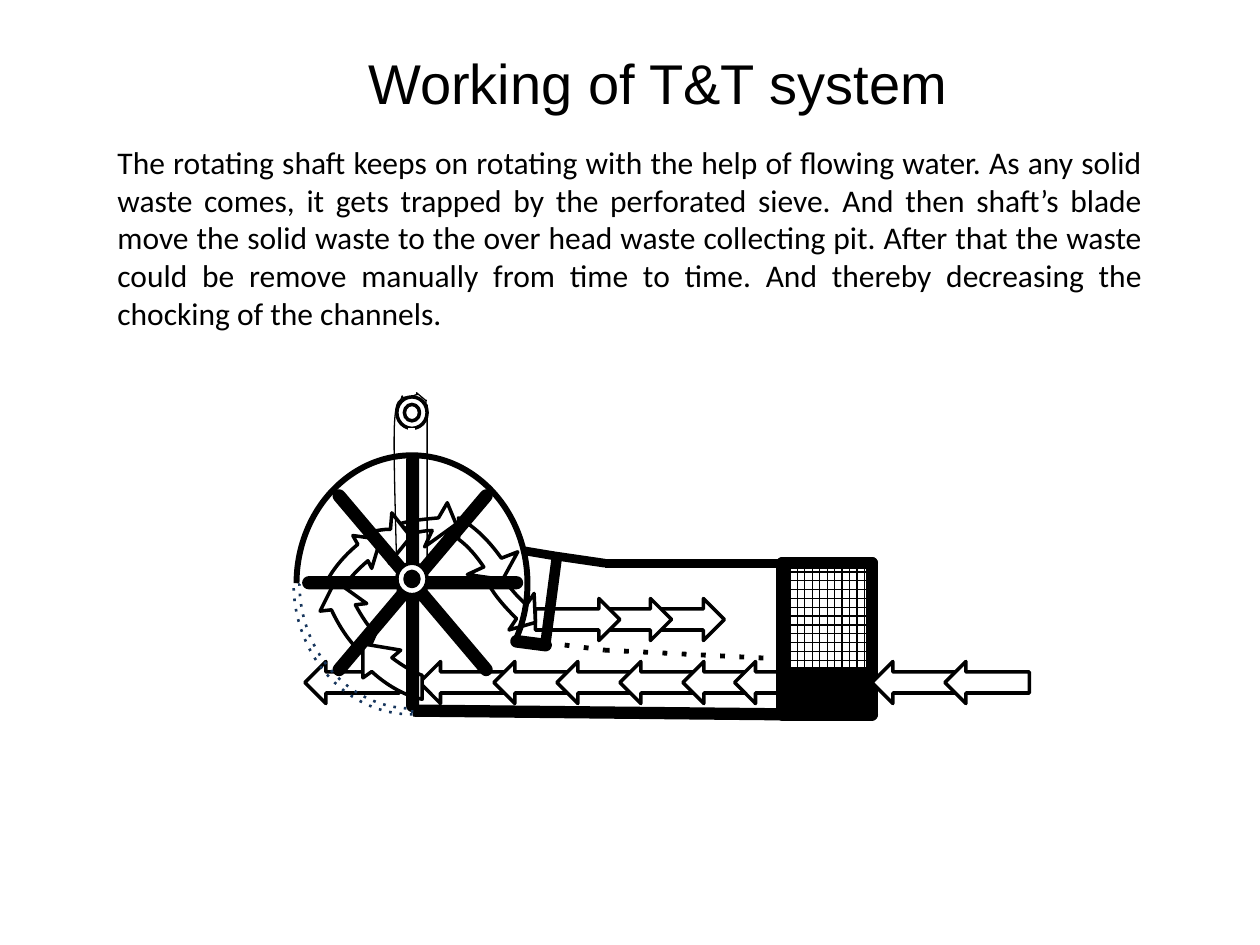
import math
import pptx
import pptx.util
import pptx.dml.color
import pptx.enum.shapes
import pptx.enum.text
import pptx.oxml.ns
from lxml import etree

Inches = pptx.util.Inches
Pt = pptx.util.Pt
RGBColor = pptx.dml.color.RGBColor
SHAPE = pptx.enum.shapes.MSO_SHAPE
ALIGN = pptx.enum.text.PP_ALIGN
qn = pptx.oxml.ns.qn

BLACK = RGBColor(0x00, 0x00, 0x00)
WHITE = RGBColor(0xFF, 0xFF, 0xFF)
BLUE = RGBColor(0x4A, 0x7D, 0xBA)
NAVY = RGBColor(0x17, 0x36, 0x5D)
GREEN = RGBColor(0xA5, 0xB5, 0x92)

TITLE = [(" ", 18), ("Working of T&T system ", 32)]
BODY = (
    "The rotating shaft keeps on rotating with the help of flowing water. "
    "As any solid waste comes, it gets trapped by the perforated sieve. "
    "And then shaft’s blade move the solid waste to the over head waste collecting pit. "
    "After that the waste could be remove manually from time to time. "
    "And thereby decreasing the chocking of the channels."
)
TITLE_BOX = (1.25, 1 / 3, 8, 0.64)
BODY_BOX = (5 / 6, 13 / 12, 25 / 3, 1.62)

# Straight arrows: (left, width)
CHANNEL_TOP, OUTLET_TOP, ARROW_HEIGHT = 5.25, 4.75, 1 / 3
CHANNEL_FLOW = [(3.33, 0.67), (3.92, 0.67), (4.42, 0.67), (4.92, 0.67), (2.42, 0.75), (5.42, 0.67)]
OUTLET_FLOW = [(5.25, 0.5), (4.83, 0.5), (4.25, 0.67)]
SIEVE_FLOW = [(5.83, 0.67)]
INLET_FLOW = [(6.92, 0.67), (7.5, 0.67)]

# Outlines: (frame, rotation, pieces); a pair is a corner, six numbers are a Bézier curve
WHEEL_FLOW = [
    ((3.92, 3.74, 1.08, 1.8), 307.6,
     [(3.88, 4.64), (3.93, 4.73, 4.01, 4.82, 4.1, 4.91), (4.04, 5), (4.25, 4.94), (4.24, 4.71),
      (4.18, 4.8), (4.12, 4.75, 4.07, 4.69, 4.03, 4.64)]),
    ((3.03, 3.86, 1.2, 1.8), 332.5,
     [(3.64, 4.11), (3.77, 4.18, 3.88, 4.29, 3.98, 4.43), (4.11, 4.38), (3.99, 4.6), (3.71, 4.56),
      (3.84, 4.5), (3.78, 4.41, 3.71, 4.33, 3.64, 4.28)]),
    ((3.13, 3.58, 0.79, 1.55), 270,
     [(3.16, 4.16), (3.26, 4.13, 3.37, 4.12, 3.48, 4.11), (3.55, 3.99), (3.62, 4.16), (3.37, 4.34),
      (3.43, 4.21), (3.38, 4.21, 3.33, 4.22, 3.29, 4.23)]),
    ((2.63, 3.77, 1.2, 1.8), 270,
     [(2.92, 4.23), (2.98, 4.21, 3.04, 4.2, 3.1, 4.2), (3.11, 4.07), (3.26, 4.26), (3.09, 4.47),
      (3.09, 4.35), (3.07, 4.35, 3.04, 4.35, 3.01, 4.36)]),
    ((2.65, 3.77, 1.2, 1.8), 236.3,
     [(2.59, 4.62), (2.64, 4.52, 2.73, 4.41, 2.84, 4.32), (2.8, 4.25), (3.02, 4.28), (2.95, 4.51),
      (2.92, 4.45), (2.85, 4.51, 2.79, 4.57, 2.75, 4.63)]),
    ((2.47, 3.56, 1.51, 1.9), 167,
     [(2.9, 5.21), (2.79, 5.12, 2.7, 4.99, 2.63, 4.84), (2.54, 4.85), (2.66, 4.61), (2.91, 4.79),
      (2.82, 4.8), (2.87, 4.89, 2.92, 4.97, 2.98, 5.03)]),
    ((2.59, 3.84, 1.51, 1.9), 142,
     [(3.35, 5.55), (3.21, 5.52, 3.07, 5.44, 2.95, 5.33), (2.88, 5.38), (2.88, 5.11), (3.18, 5.16),
      (3.11, 5.22), (3.19, 5.28, 3.27, 5.33, 3.35, 5.36)]),
]
BELT = ((3.12, 3.08, 0.28, 1.75), 0, [
    (3.13, 3.38), (3.12, 3.63, 3.15, 4.43, 3.15, 4.63), (3.16, 4.84, 3.16, 4.55, 3.15, 4.62),
    (3.17, 4.59, 3.15, 4.58, 3.15, 4.58), (3.15, 4.58, 3.15, 4.59, 3.16, 4.61),
    (3.16, 4.63, 3.17, 4.68, 3.19, 4.7), (3.21, 4.72, 3.24, 4.74, 3.27, 4.73),
    (3.3, 4.73, 3.35, 4.71, 3.37, 4.69), (3.39, 4.67, 3.4, 4.63, 3.4, 4.61),
    (3.4, 4.59, 3.39, 4.79, 3.39, 4.57), (3.39, 4.35, 3.39, 3.49, 3.39, 3.29),
    (3.39, 3.08, 3.39, 3.37, 3.39, 3.35), (3.39, 3.33, 3.38, 3.21, 3.38, 3.19),
    (3.38, 3.16, 3.39, 3.19, 3.38, 3.18), (3.37, 3.17, 3.32, 3.13, 3.31, 3.12),
    (3.3, 3.11, 3.31, 3.12, 3.31, 3.13), (3.31, 3.13, 3.32, 3.13, 3.32, 3.13),
    (3.31, 3.13, 3.28, 3.14, 3.26, 3.15), (3.24, 3.15, 3.2, 3.15, 3.19, 3.16),
    (3.18, 3.16, 3.2, 3.12, 3.19, 3.16), (3.18, 3.19, 3.14, 3.14, 3.13, 3.38),
])

# Sieve box
LEFT, RIGHT, TOP, MESH_BOTTOM, BOTTOM = 6.21, 6.92, 4.47, 5.31, 5.67
MESH_COLUMNS, MESH_ROWS = 12, 12

# Lines: (x1, y1, x2, y2, format values)
CHUTE = [
    (LEFT, TOP, LEFT, 5.23, {"color": BLUE, "width": 7}),
    (4.33, 5.1, 4.8, 5.16, {"width": 2.75, "dash": "dot"}),
    (4.42, 4.42, 4.33, 5.1, {"width": 6}),
    (4.39, 4.41, 4.8, TOP, {"width": 5, "cap": "rnd"}),
    (4.8, TOP, LEFT, TOP, {"width": 5}),
    (4.8, 5.16, LEFT, 5.23, {"width": 2.75, "dash": "dot"}),
]
HOUSING = [
    (3.28, 5.64, 6.27, 5.67, {"width": 7}),
    (4.1, 5.09, 4.33, 5.12, {"width": 7.25, "cap": "rnd"}),
    (4.15, 4.37, 4.39, 4.41, {"width": 5}),
]
FRAME = [
    (LEFT, MESH_BOTTOM, LEFT, BOTTOM),
    (LEFT, BOTTOM, RIGHT, BOTTOM),
    (LEFT, TOP, RIGHT, TOP),
    (RIGHT, TOP, RIGHT, BOTTOM),
    (LEFT, TOP, LEFT, MESH_BOTTOM),
]
WHEEL_RIM = (2.33, 3.59, 1.88, 2.08)
RIM_THICKNESS = 1 / 40


def draw_line(line, color, width, dash):
    line.color.rgb = color
    line.width = Pt(width)
    if dash:
        etree.SubElement(line._get_or_add_ln(), qn("a:prstDash"), val=dash)


def style(part, fill=None, color=BLACK, width=2, dash=None):
    """Set fill and outline; None leaves out the fill or the outline."""
    part.shadow.inherit = False
    if fill is None:
        part.fill.background()
    else:
        part.fill.solid()
        part.fill.fore_color.rgb = fill
    if color is None:
        part.line.fill.background()
    else:
        draw_line(part.line, color, width, dash)


def add_part(shapes, kind, box, adjustments=(), **look):
    part = shapes.add_shape(kind, *map(Inches, box))
    for index, value in enumerate(adjustments):
        part.adjustments[index] = value
    style(part, **look)


def add_line(shapes, x1, y1, x2, y2, color=BLACK, width=0.75, dash=None, cap="flat"):
    connector = shapes.add_connector(
        pptx.enum.shapes.MSO_CONNECTOR.STRAIGHT, *map(Inches, (x1, y1, x2, y2)))
    draw_line(connector.line, color, width, dash)
    connector.line._get_or_add_ln().set("cap", cap)
    etree.SubElement(connector._element.spPr, qn("a:effectLst"))


def add_outline(shapes, frame, rotation, pieces, **look):
    """Draw a closed outline of corners and curves inside a rotated frame."""
    left, top, width, height = frame
    cos, sin = math.cos(math.radians(rotation)), math.sin(math.radians(rotation))

    def place(x, y):
        dx, dy = x - left - width / 2, y - top - height / 2
        return Inches(width / 2 + dx * cos + dy * sin), Inches(height / 2 - dx * sin + dy * cos)

    ends = [place(*piece[-2:]) for piece in pieces]
    builder = shapes.build_freeform(*ends[0])
    builder.add_line_segments(ends[1:], close=True)
    outline = builder.convert_to_shape()
    for name, value in zip(("left", "top", "width", "height"), frame):
        setattr(outline, name, Inches(value))
    outline.rotation = rotation

    contour = next(outline._element.iter(qn("a:path")))
    contour.set("w", str(outline.width))
    contour.set("h", str(outline.height))
    for segment, piece in zip(list(contour), pieces):
        if len(piece) == 6:
            segment_tag = "a:cubicBezTo"
        else:
            segment_tag = "a:moveTo" if piece is pieces[0] else "a:lnTo"
        drawn = etree.Element(qn(segment_tag))
        for x, y in zip(piece[::2], piece[1::2]):
            across, down = place(x, y)
            etree.SubElement(drawn, qn("a:pt"), x=str(int(across)), y=str(int(down)))
        contour.replace(segment, drawn)
    style(outline, **look)


def add_flow(shapes, kind, top, arrows):
    for left, width in arrows:
        add_part(shapes, kind, (left, top, width, ARROW_HEIGHT), fill=WHITE)


def add_text(shapes, box, runs, font, align):
    frame = shapes.add_textbox(*map(Inches, box)).text_frame
    frame.word_wrap = True
    paragraph = frame.paragraphs[0]
    paragraph.alignment = align
    for wording, size in runs:
        run = paragraph.add_run()
        run.text = wording
        for name, value in {"name": font, "size": Pt(size)}.items():
            setattr(run.font, name, value)
        run.font.color.rgb = BLACK


def add_sieve(shapes):
    for ends in FRAME[:-1]:
        add_line(shapes, *ends, width=7, cap="rnd")
    add_part(shapes, SHAPE.RECTANGLE, (LEFT, MESH_BOTTOM, RIGHT - LEFT, BOTTOM - MESH_BOTTOM), fill=BLACK)
    for column in range(1, MESH_COLUMNS):
        x = LEFT + column * (RIGHT - LEFT) / MESH_COLUMNS
        add_line(shapes, x, TOP, x, MESH_BOTTOM)
    for row in range(1, MESH_ROWS):
        y = TOP + row * (MESH_BOTTOM - TOP) / MESH_ROWS
        add_line(shapes, LEFT, y, RIGHT, y)
    add_line(shapes, *FRAME[-1], width=7, cap="rnd")


def main():
    deck = pptx.Presentation()
    deck.slide_width, deck.slide_height = Inches(10), Inches(7.5)
    shapes = deck.slides.add_slide(deck.slide_layouts[6]).shapes

    add_flow(shapes, SHAPE.LEFT_ARROW, CHANNEL_TOP, CHANNEL_FLOW)
    add_flow(shapes, SHAPE.RIGHT_ARROW, OUTLET_TOP, OUTLET_FLOW)
    for curved_arrow in WHEEL_FLOW:
        add_outline(shapes, *curved_arrow, fill=WHITE)

    add_text(shapes, TITLE_BOX, TITLE, "Arial", ALIGN.CENTER)
    add_text(shapes, BODY_BOX, [(BODY, 18)], "Calibri", ALIGN.JUSTIFY)

    add_part(shapes, SHAPE.STAR_8_POINT, (2.45, 3.65, 1.65, 1.95), [0], fill=GREEN, width=7.5)
    add_part(shapes, SHAPE.DONUT, (3.15, 3.15, 0.24, 0.25), [0.25], fill=WHITE)
    add_line(shapes, 3.27, 3.4, 3.27, 3.59, color=WHITE, width=4)

    chute = shapes.add_group_shape().shapes
    for *ends, look in CHUTE:
        add_line(chute, *ends, **look)
    add_part(shapes, SHAPE.BLOCK_ARC, WHEEL_RIM, [53.85, 107.63, RIM_THICKNESS],
             color=NAVY, width=1.5, dash="dot")
    add_part(shapes, SHAPE.BLOCK_ARC, WHEEL_RIM, [108.04, 16.86, RIM_THICKNESS], fill=BLACK, color=None)
    for *ends, look in HOUSING:
        add_line(shapes, *ends, **look)
    add_part(shapes, SHAPE.DONUT, (3.15, 4.47, 0.24, 0.25), [0.27], fill=WHITE)
    add_outline(shapes, *BELT, width=0.75)

    add_flow(shapes, SHAPE.LEFT_ARROW, CHANNEL_TOP, SIEVE_FLOW)
    add_sieve(shapes.add_group_shape().shapes)
    add_flow(shapes, SHAPE.LEFT_ARROW, CHANNEL_TOP, INLET_FLOW)

    deck.save("out.pptx")


if __name__ == "__main__":
    main()
